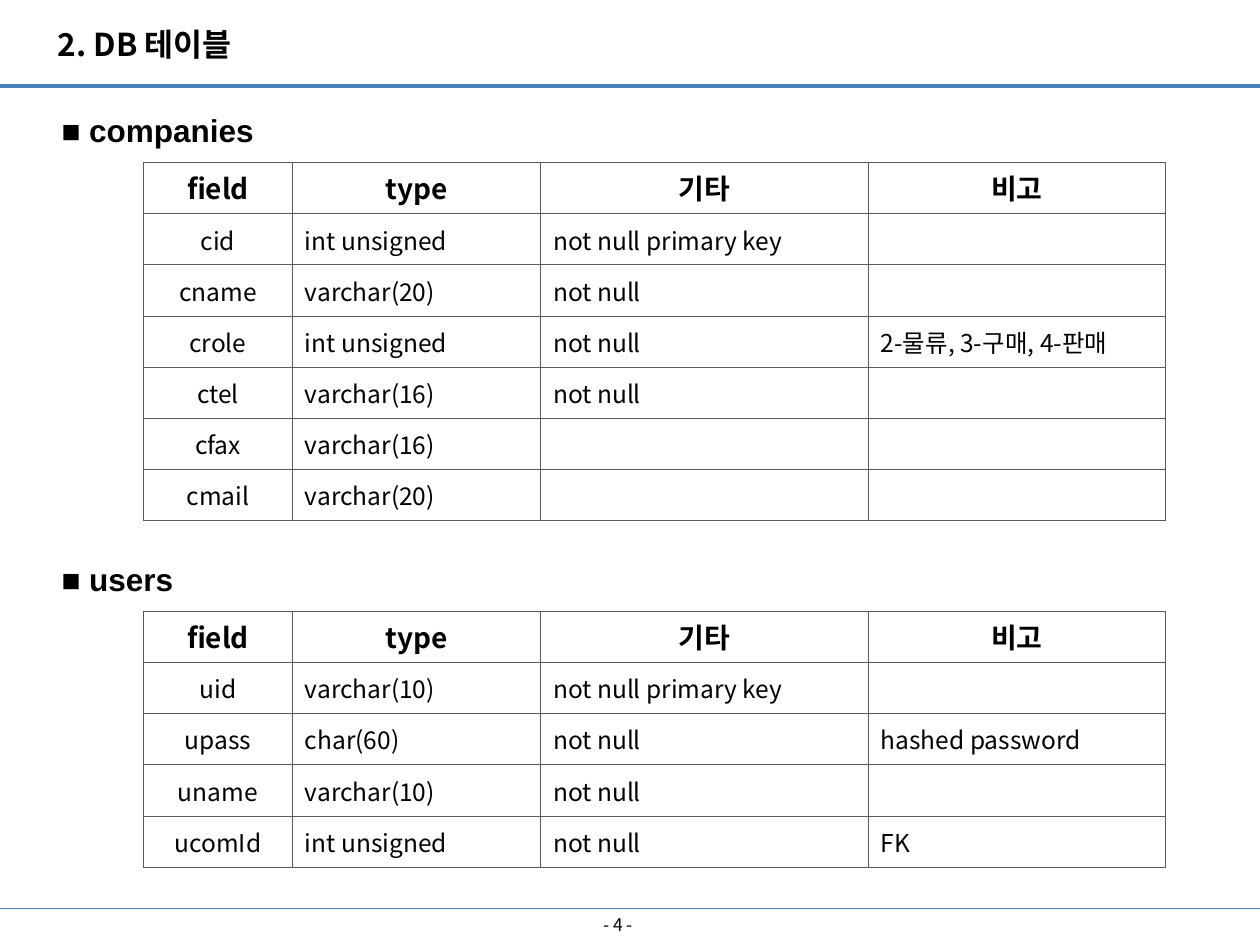
import pptx
import pptx.dml.color
import pptx.enum.shapes
import pptx.enum.text
import pptx.oxml
import pptx.oxml.ns
import pptx.util

WIDTH, HEIGHT = pptx.util.Inches(10), pptx.util.Inches(7.5)
COLUMN, ROW = WIDTH / 100, HEIGHT / 75
COLORS = {"text": "000000", "rule": "4B7EBC", "border": "595959", "paper": "FFFFFF"}
SANS, HEADING = "Noto Sans CJK KR", "Arial"
ALIGN, ANCHOR = pptx.enum.text.PP_ALIGN, pptx.enum.text.MSO_ANCHOR

TABLE_COLUMNS = (11.8, 19.7, 26, 23.6)
TABLE_ROW = 4.06
TABLE_LEFT, TABLE_DROP = 11.4, 6.1
SECTION_GAP = 1.1
HEADER = ("field", "type", "기타", "비고")
SECTIONS = {
    "companies": [
        ("cid", "int unsigned", "not null primary key", ""),
        ("cname", "varchar(20)", "not null", ""),
        ("crole", "int unsigned", "not null", "2-물류, 3-구매, 4-판매"),
        ("ctel", "varchar(16)", "not null", ""),
        ("cfax", "varchar(16)", "", ""),
        ("cmail", "varchar(20)", "", ""),
    ],
    "users": [
        ("uid", "varchar(10)", "not null primary key", ""),
        ("upass", "char(60)", "not null", "hashed password"),
        ("uname", "varchar(10)", "not null", ""),
        ("ucomId", "int unsigned", "not null", "FK"),
    ],
}


def place(left, top, width, height):
    """Turn grid columns and rows into slide lengths."""
    return [round(n) for n in (left * COLUMN, top * ROW, width * COLUMN, height * ROW)]


def color(name):
    """Look up a named colour."""
    return pptx.dml.color.RGBColor.from_string(COLORS[name])


def write(frame, text, size, font=SANS, bold=False, align=ALIGN.LEFT):
    """Fill a text frame with one styled paragraph."""
    para = frame.paragraphs[0]
    para.text = text
    para.alignment = align
    para.font.size = pptx.util.Pt(size)
    para.font.name = font
    para.font.bold = bold
    para.font.color.rgb = color("text")
    east_asian = pptx.oxml.parse_xml(
        f'<a:ea {pptx.oxml.ns.nsdecls("a")} typeface="{font}"/>')
    para.font._element.find(pptx.oxml.ns.qn("a:latin")).addnext(east_asian)
    return para


def add_label(page, box, text, size, **style):
    """Add a one-line text box that fits its text."""
    frame = page.shapes.add_textbox(*place(*box)).text_frame
    frame.word_wrap = False
    frame.auto_size = pptx.enum.text.MSO_AUTO_SIZE.SHAPE_TO_FIT_TEXT
    return write(frame, text, size, **style)


def add_rule(page, top, weight):
    """Draw a rule across the whole page."""
    left, y, width, _ = place(0, top, 100, 0)
    rule = page.shapes.add_connector(
        pptx.enum.shapes.MSO_CONNECTOR.STRAIGHT, left, y, left + width, y)
    rule.line.color.rgb = color("rule")
    rule.line.width = pptx.util.Pt(weight)
    rule._element.spPr.append(pptx.oxml.parse_xml(
        f'<a:effectLst {pptx.oxml.ns.nsdecls("a")}/>'))


def style_cell(cell):
    """Give a cell a plain fill and thin borders."""
    cell.fill.solid()
    cell.fill.fore_color.rgb = color("paper")
    properties = cell._tc.get_or_add_tcPr()
    for index, side in enumerate("LRTB"):
        properties.insert(index, pptx.oxml.parse_xml(
            f'<a:ln{side} {pptx.oxml.ns.nsdecls("a")} w="{pptx.util.Pt(0.5)}">'
            f'<a:solidFill><a:srgbClr val="{COLORS["border"]}"/></a:solidFill>'
            f'</a:ln{side}>'))


def add_field_table(page, box, rows):
    """Add a table of fields under its header row."""
    records = [HEADER, *rows]
    table = page.shapes.add_table(len(records), len(HEADER), *place(*box)).table
    table.horz_banding = table.first_row = False
    for column, share in zip(table.columns, TABLE_COLUMNS):
        column.width = round(share * COLUMN)
    for r, record in enumerate(records):
        table.rows[r].height = round(TABLE_ROW * ROW)
        header = r == 0
        for c, text in enumerate(record):
            cell = table.cell(r, c)
            style_cell(cell)
            cell.vertical_anchor = ANCHOR.TOP if header else ANCHOR.MIDDLE
            cell.margin_top = cell.margin_bottom = pptx.util.Inches(0.04)
            write(cell.text_frame, text, 16 if header else 14, bold=header,
                  align=ALIGN.CENTER if header or c == 0 else ALIGN.LEFT)


def add_section(page, top, name, rows):
    """Add a heading with its table and return the bottom row."""
    heading = add_label(page, (3.9, top, 18.3, 5.1), f"■ {name}", 18,
                        font=HEADING, bold=True)
    heading.line_spacing = 1.5
    height = TABLE_ROW * (len(rows) + 1)
    table_top = top + TABLE_DROP
    add_field_table(page, (TABLE_LEFT, table_top, sum(TABLE_COLUMNS), height), rows)
    return table_top + height


def add_header(page):
    """Add the page title above its rule."""
    add_rule(page, 6.8, 2.25)
    add_label(page, (3.6, 1.5, 17, 4), "2. DB 테이블", 18, bold=True)


def add_footer(page):
    """Add the page number below its rule."""
    add_rule(page, 72.1, 0.75)
    frame = page.shapes.add_textbox(*place(37.4, 72.1, 23.3, 2.6)).text_frame
    frame.word_wrap = True
    frame.vertical_anchor = ANCHOR.MIDDLE
    write(frame, "- 4 -", 10, align=ALIGN.CENTER)


def main():
    """Build and save the deck."""
    deck = pptx.Presentation()
    deck.slide_width, deck.slide_height = WIDTH, HEIGHT
    page = deck.slides.add_slide(deck.slide_layouts[6])
    add_header(page)
    top = 6.8
    for name, rows in SECTIONS.items():
        top = add_section(page, top, name, rows) + SECTION_GAP
    add_footer(page)
    deck.save("out.pptx")


if __name__ == "__main__":
    main()
